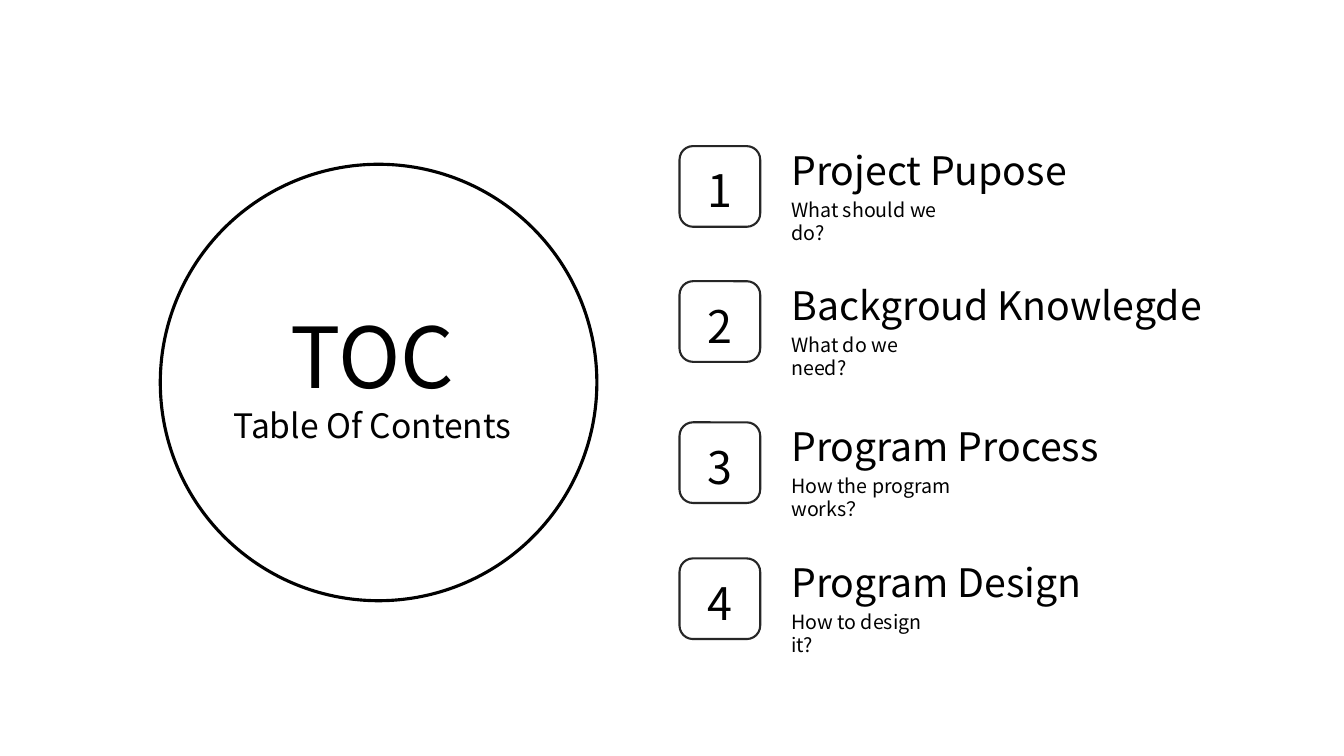
from dataclasses import dataclass

from pptx import Presentation
from pptx.dml.color import RGBColor
from pptx.enum.shapes import MSO_SHAPE
from pptx.enum.text import MSO_ANCHOR, MSO_AUTO_SIZE, PP_ALIGN
from pptx.oxml.ns import qn
from pptx.util import Inches, Pt

OVAL, ROUNDED = MSO_SHAPE.OVAL, MSO_SHAPE.ROUNDED_RECTANGLE
TOP, GROW = MSO_ANCHOR.TOP, MSO_AUTO_SIZE.SHAPE_TO_FIT_TEXT
LEFT, CENTER = PP_ALIGN.LEFT, PP_ALIGN.CENTER


@dataclass(frozen=True)
class Theme:
    text: RGBColor = RGBColor(0, 0, 0)
    badge_line: RGBColor = RGBColor(0x26, 0x26, 0x26)
    font_jp: str = "Noto Sans CJK JP"
    font_sc: str = "Noto Sans CJK SC"
    toc: int = 60
    subtitle: int = 24
    number: int = 32
    heading: int = 28
    question: int = 14


THEME = Theme()

TITLE = "TOC"
SUBTITLE = "Table Of Contents"
# heading, heading width, question, question width, badge top
CHAPTERS = [
    ("Project Pupose", 3.16, "What should we do?", 1.8, 1.45),
    ("Backgroud Knowlegde", 4.28, "What do we need?", 1.64, 2.79),
    ("Program Process", 3.56, "How the program works？", 2.31, 4.19),
    ("Program Design", 3.16, "How to design it?", 1.57, 5.54),
]
BADGE_LEFT, BADGE_SIZE = 6.74, 0.8
NUMBER_WIDTH = 0.45
TEXT_LEFT = 7.75


def write(p, text, *, size, font, align=LEFT):
    p.alignment = align
    r = p.add_run()
    r.text = text
    r.font.size = Pt(size)
    r.font.name = font
    r.font.color.rgb = THEME.text
    ea = r.font._element.makeelement(qn("a:ea"), {"typeface": font})
    r.font._element.append(ea)


def format_frame(tf, wrap):
    tf.word_wrap = wrap
    tf.auto_size = GROW
    tf.vertical_anchor = TOP


def add_text(s, text, box, *, wrap=True, **style):
    tf = s.shapes.add_textbox(*map(Inches, box)).text_frame
    format_frame(tf, wrap)
    write(tf.paragraphs[0], text, **style)


def add_outline(s, kind, box, color, width):
    sp = s.shapes.add_shape(kind, *map(Inches, box))
    sp.shadow.inherit = False
    sp.fill.background()
    sp.line.color.rgb = color
    sp.line.width = Pt(width)


def add_title(s):
    title = s.shapes.title
    title.left, title.top, title.width, title.height = map(
        Inches, (2.14, 2.97, 3.11, 1.51))
    tf = title.text_frame
    format_frame(tf, False)
    write(tf.paragraphs[0], TITLE, size=THEME.toc, font=THEME.font_jp, align=CENTER)
    write(tf.add_paragraph(), SUBTITLE, size=THEME.subtitle, font=THEME.font_sc,
          align=CENTER)


def add_chapter(s, number, heading, heading_width, question, question_width, top):
    add_outline(s, ROUNDED, (BADGE_LEFT, top, BADGE_SIZE, BADGE_SIZE),
                THEME.badge_line, 1.5)
    number_left = BADGE_LEFT + (BADGE_SIZE - NUMBER_WIDTH) / 2
    add_text(s, str(number), (number_left, top + 0.12, NUMBER_WIDTH, 0.64),
             wrap=False, size=THEME.number, font=THEME.font_sc, align=CENTER)
    add_text(s, question, (TEXT_LEFT, top + 0.46, question_width, 0.34),
             size=THEME.question, font=THEME.font_jp)
    add_text(s, heading, (TEXT_LEFT, top - 0.05, heading_width, 0.57),
             size=THEME.heading, font=THEME.font_sc)


def main():
    prs = Presentation()
    prs.slide_width, prs.slide_height = Inches(13.33), Inches(7.5)
    s = prs.slides.add_slide(prs.slide_layouts[5])
    add_outline(s, OVAL, (1.59, 1.63, 4.33, 4.33), THEME.text, 2.25)
    add_title(s)
    for number, chapter in enumerate(CHAPTERS, 1):
        add_chapter(s, number, *chapter)
    prs.save("out.pptx")


if __name__ == "__main__":
    main()
